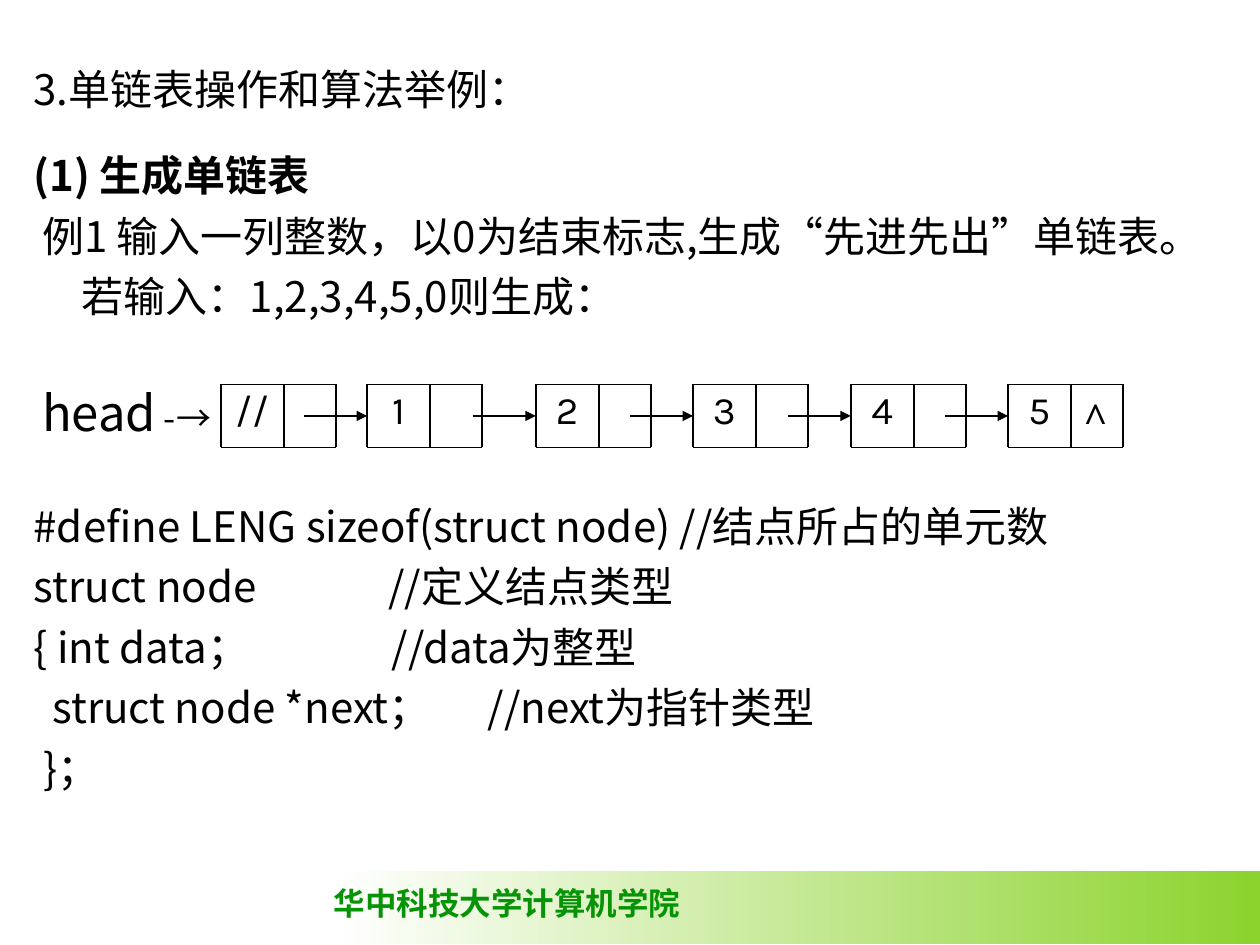
from lxml import etree
from pptx import Presentation
from pptx.dml.color import RGBColor
from pptx.enum.shapes import MSO_CONNECTOR, MSO_SHAPE
from pptx.enum.text import PP_ALIGN
from pptx.oxml.ns import qn
from pptx.util import Cm, Pt

RECTANGLE = MSO_SHAPE.RECTANGLE
STRAIGHT = MSO_CONNECTOR.STRAIGHT
CENTER = PP_ALIGN.CENTER
BLACK = "000000"
BODY_FONT = "Noto Sans CJK SC"
NODE_FONT = "Karla"
SERIF_FONT = "Times New Roman"


def style_font(font, name, size, hex_string=BLACK, bold=False):
    """Style a font, with the body typeface for its East Asian characters."""
    font.name, font.size, font.bold = name, Pt(size), bold
    font.color.rgb = RGBColor.from_string(hex_string)
    etree.SubElement(font._element, qn("a:ea"), typeface=BODY_FONT)


def add_line(start_x, start_y, end_x, end_y, width):
    """Add a black straight line; positions in centimetres, width in points."""
    line = slide.shapes.add_connector(
        STRAIGHT, Cm(start_x), Cm(start_y), Cm(end_x), Cm(end_y)
    )
    line.line.color.rgb = RGBColor.from_string(BLACK)
    line.line.width = Pt(width)
    etree.SubElement(line._element.spPr, qn("a:effectLst"))
    return line


presentation = Presentation()
presentation.slide_width, presentation.slide_height = Cm(25.4), Cm(19.05)
slide = presentation.slides.add_slide(presentation.slide_layouts[6])
shapes = slide.shapes

# Footer
band = shapes.add_shape(RECTANGLE, Cm(6.78), Cm(17.55), Cm(18.62), Cm(1.48))
band.shadow.inherit = False
band.line.fill.background()
band.fill.gradient()
band.fill.gradient_angle = 0
for stop, position, hex_string in zip(band.fill.gradient_stops, (0, 1), ("FFFFFF", "8CD32D")):
    stop.position = position
    stop.color.rgb = RGBColor.from_string(hex_string)

footer = shapes.add_textbox(Cm(6.48), Cm(17.7), Cm(7.49), Cm(1.02))
footer.text_frame.word_wrap = False
paragraph = footer.text_frame.paragraphs[0]
paragraph.text = "华中科技大学计算机学院"
style_font(paragraph.font, SERIF_FONT, 18, "069406", True)

# Body: text, left margin (cm), first-line indent (cm), space before (pt), comment tab (cm)
body_lines = [
    ("3.单链表操作和算法举例：", 0.97, -0.97, 0, None),
    ("(1) 生成单链表", 0.97, -0.97, 20.5, None),
    ("例1 输入一列整数，以0为结束标志,生成“先进先出”单链表。", 0.97, -0.8, 6, None),
    ("若输入：1,2,3,4,5,0则生成：", 0.97, 0, 6, None),
    ("head -→", 0.17, 0, 35, None),
    ("#define LENG sizeof(struct node) //结点所占的单元数", 0, 0, 34, None),
    ("struct node\t//定义结点类型", 0, 0, 6, 7.15),
    ("{ int data；\t//data为整型", 0, 0, 6, 7.22),
    ("  struct node *next；\t//next为指针类型", 0, 0, 6, 9.15),
    (" }；", 0, 0, 6, None),
]
body = shapes.add_textbox(Cm(0.43), Cm(1.17), Cm(23.5), Cm(17.58))
frame = body.text_frame
frame.word_wrap = True
for index, (text, margin, indent, space, tab) in enumerate(body_lines):
    paragraph = frame.add_paragraph() if index else frame.paragraphs[0]
    is_head = text.startswith("head")
    paragraph.line_spacing = Pt(33.4 if is_head else 28.6)
    paragraph.space_before = Pt(space)
    properties = paragraph._p.get_or_add_pPr()
    if margin:
        properties.set("marL", str(Cm(margin)))
        properties.set("indent", str(Cm(indent)))
    etree.SubElement(properties, qn("a:buNone"))
    if tab:
        tabs = etree.SubElement(properties, qn("a:tabLst"))
        etree.SubElement(tabs, qn("a:tab"), pos=str(Cm(tab)), algn="l")
    style_font(paragraph.font, BODY_FONT, 24, bold=text.startswith("(1)"))
    if is_head:
        for part, size in (("head", 28), (" -→", 20)):
            run = paragraph.add_run()
            run.text = part
            run.font.size = Pt(size)
    elif "“" in text:
        for part in text.replace("“", "|“|").replace("”", "|”|").split("|"):
            run = paragraph.add_run()
            run.text = part
            if part in "“”":
                style_font(run.font, NODE_FONT, 24)
    else:
        paragraph.text = text

# Linked list
top, cell_size, node_width = 7.75, 1.27, 2.32
bottom = top + cell_size
nodes = [("//", 4.45), ("1", 7.4), ("2", 10.8), ("3", 13.97), ("4", 17.15), ("5", 20.32)]
data_cells = []
for label, left in nodes:
    cell = shapes.add_textbox(Cm(left), Cm(top), Cm(cell_size), Cm(cell_size))
    cell.text_frame.word_wrap = True
    paragraph = cell.text_frame.paragraphs[0]
    paragraph.text = label
    paragraph.alignment = CENTER
    paragraph.line_spacing = 0.9
    style_font(paragraph.font, NODE_FONT, 22.2)
    data_cells.append(cell)
    for y in (top, bottom):
        add_line(left, y, left + node_width, y, 1)
    for x in (left, left + cell_size, left + node_width):
        add_line(x, top, x, bottom, 1)

end_mark = shapes.add_textbox(Cm(21.59), Cm(top), Cm(0.84), Cm(cell_size))
end_mark.text_frame.word_wrap = True
paragraph = end_mark.text_frame.paragraphs[0]
paragraph.text = "^"
paragraph.alignment = CENTER
style_font(paragraph.font, SERIF_FONT, 24, bold=True)

arrow_length, middle = 1.27, top + cell_size / 2
for (label, left), target in zip(nodes[1:], data_cells[1:]):
    arrow = add_line(left - arrow_length, middle, left, middle, 0.75)
    arrow.end_connect(target, 1)
    etree.SubElement(arrow.line._get_or_add_ln(), qn("a:tailEnd"), type="triangle")

presentation.save("out.pptx")
